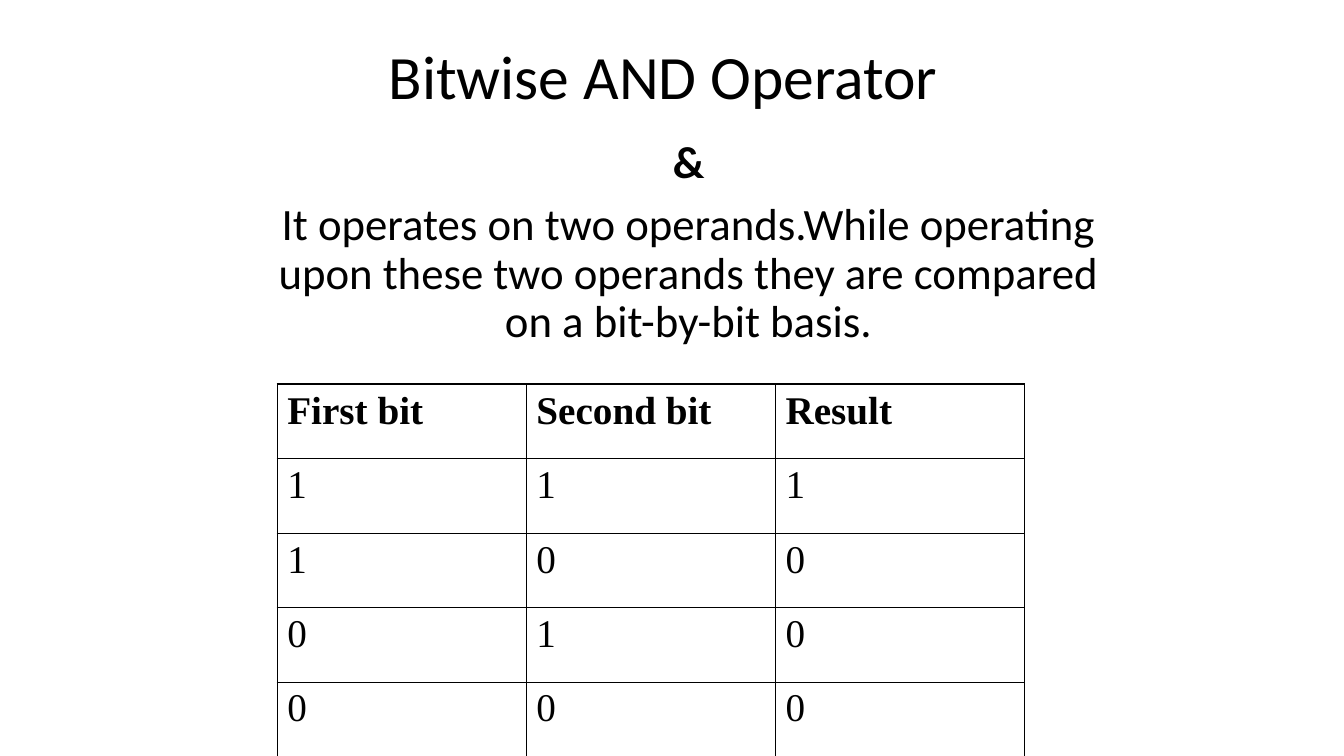
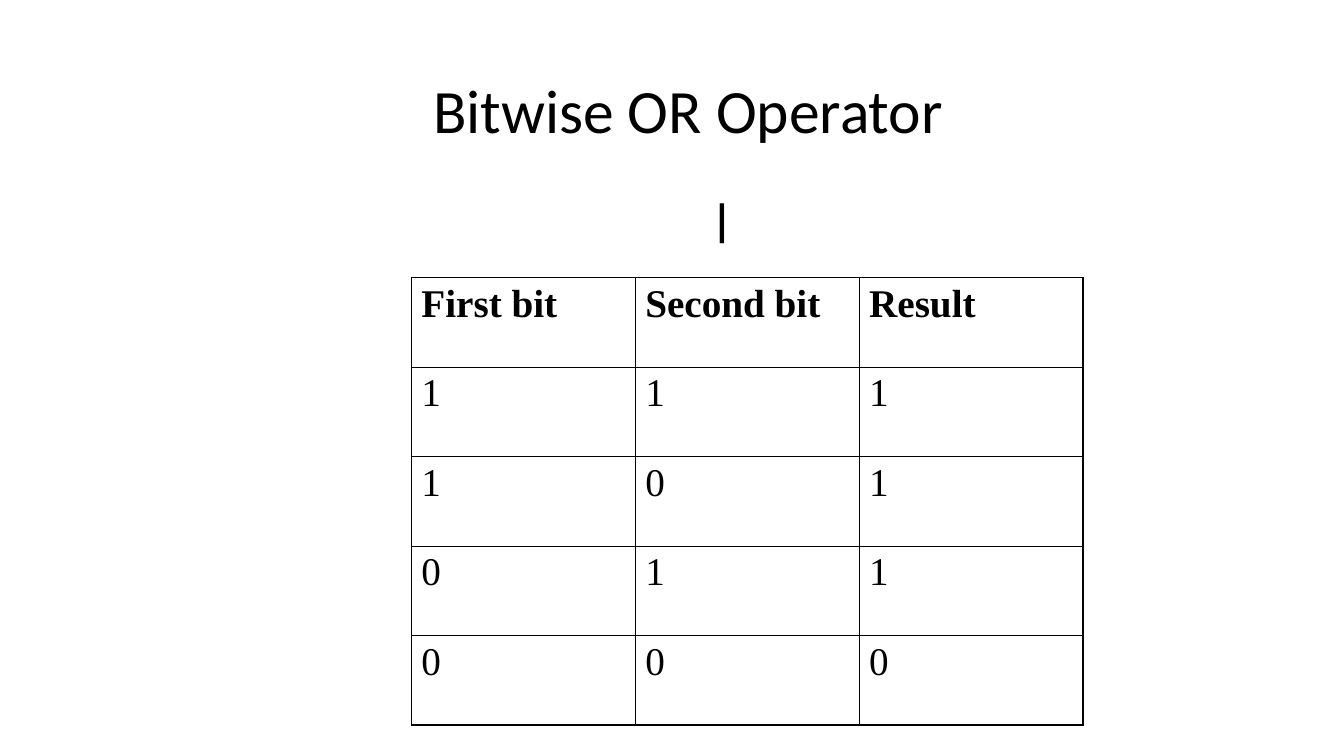
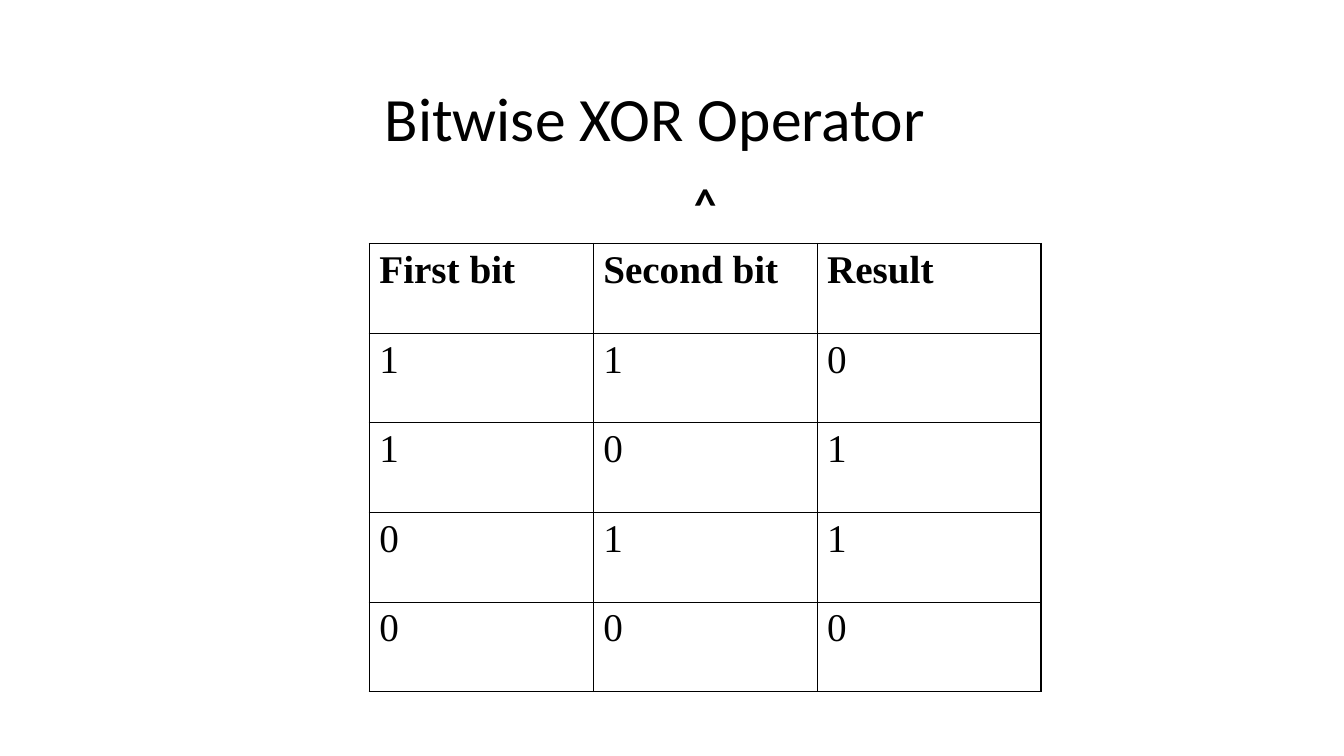
from dataclasses import dataclass

from lxml.etree import SubElement
from pptx import Presentation
from pptx.dml.color import RGBColor
from pptx.enum.text import MSO_ANCHOR, PP_ALIGN
from pptx.oxml.ns import qn
from pptx.slide import Slide
from pptx.table import _Cell
from pptx.text.text import _Paragraph
from pptx.util import Cm, Pt


@dataclass(frozen=True)
class Theme:
    ink: str = "000000"
    paper: str = "FFFFFF"
    text_font: str = "Calibri"
    table_font: str = "Times New Roman"
    title_size: int = 44
    body_size: int = 32
    table_size: int = 28
    line_spacing: float = 0.9
    body_gap: int = 10
    cell_gap: int = 7
    outer_line: float = 1.08
    inner_line: float = 0.45


@dataclass(frozen=True)
class Area:
    left: float
    top: float
    width: float
    height: float

    def lengths(self) -> tuple[Cm, Cm, Cm, Cm]:
        return Cm(self.left), Cm(self.top), Cm(self.width), Cm(self.height)


@dataclass(frozen=True)
class OperatorPage:
    title: str
    title_area: Area
    body: tuple[str, ...]
    body_area: Area
    results: str
    table_area: Area


THEME = Theme()
HEADINGS = ("First bit", "Second bit", "Result")
BIT_PAIRS = ("11", "10", "01", "00")

PAGES = (
    OperatorPage(
        "Bitwise AND Operator",
        Area(5.93, 0.64, 21.59, 2.75),
        (
            "&",
            "It operates on two operands.While operating upon these two operands "
            "they are compared on a bit-by-bit basis.",
        ),
        Area(6.14, 3.39, 22.44, 5.72),
        "1000",
        Area(6.99, 9.68, 18.84, 9.38),
    ),
    OperatorPage(
        "Bitwise OR Operator",
        Area(6.56, 1.27, 21.59, 3.18),
        ("|",),
        Area(9.31, 4.87, 17.78, 9.53),
        "1110",
        Area(10.37, 6.99, 16.93, 11.28),
    ),
    OperatorPage(
        "Bitwise XOR Operator",
        Area(5.72, 1.48, 21.59, 3.18),
        ("^",),
        Area(8.89, 4.45, 17.78, 1.48),
        "0110",
        Area(9.31, 6.14, 16.93, 11.28),
    ),
)


def add_span(para: _Paragraph, text: str, font: str, size: int, bold: bool = False) -> None:
    span = para.add_run()
    span.text = text
    span.font.name = font
    span.font.size = Pt(size)
    span.font.bold = bold
    span.font.color.rgb = RGBColor.from_string(THEME.ink)


def add_text(
    page: Slide, area: Area, lines: tuple[str, ...], size: int,
    anchor: MSO_ANCHOR, gap: int = 0, bold_first: bool = False,
) -> None:
    frame = page.shapes.add_textbox(*area.lengths()).text_frame
    frame.word_wrap = True
    frame.vertical_anchor = anchor
    for index, line in enumerate(lines):
        para = frame.add_paragraph() if index else frame.paragraphs[0]
        para.alignment = PP_ALIGN.CENTER
        para.line_spacing = THEME.line_spacing
        para.space_before = Pt(gap)
        add_span(para, line, THEME.text_font, size, bold_first and index == 0)


def set_borders(cell: _Cell, outer_sides: dict[str, bool]) -> None:
    properties = cell._tc.get_or_add_tcPr()
    for side, is_outer in outer_sides.items():
        width = THEME.outer_line if is_outer else THEME.inner_line
        line = SubElement(properties, qn(f"a:ln{side}"), w=str(int(Pt(width))))
        fill = SubElement(line, qn("a:solidFill"))
        SubElement(fill, qn("a:srgbClr"), val=THEME.ink)


def add_truth_table(page: Slide, area: Area, results: str) -> None:
    rows = [HEADINGS] + [(*pair, result) for pair, result in zip(BIT_PAIRS, results)]
    last_row, last_column = len(rows) - 1, len(HEADINGS) - 1
    table = page.shapes.add_table(len(rows), len(HEADINGS), *area.lengths()).table
    table.first_row = False
    table.horz_banding = False
    for row, values in enumerate(rows):
        for column, value in enumerate(values):
            cell = table.cell(row, column)
            set_borders(cell, {
                "L": column == 0,
                "R": column == last_column,
                "T": row == 0,
                "B": row == last_row,
            })
            cell.fill.background()
            para = cell.text_frame.paragraphs[0]
            para.space_before = Pt(THEME.cell_gap)
            add_span(para, value, THEME.table_font, THEME.table_size, row == 0)


def main() -> None:
    deck = Presentation()
    deck.slide_width = Cm(33.88)
    deck.slide_height = Cm(19.05)
    background = deck.slide_master.background.fill
    background.solid()
    background.fore_color.rgb = RGBColor.from_string(THEME.paper)
    for content in PAGES:
        page = deck.slides.add_slide(deck.slide_layouts[6])
        add_text(page, content.title_area, (content.title,), THEME.title_size, MSO_ANCHOR.MIDDLE)
        add_text(
            page, content.body_area, content.body, THEME.body_size,
            MSO_ANCHOR.TOP, THEME.body_gap, bold_first=True,
        )
        add_truth_table(page, content.table_area, content.results)
    deck.save("out.pptx")


if __name__ == "__main__":
    main()
